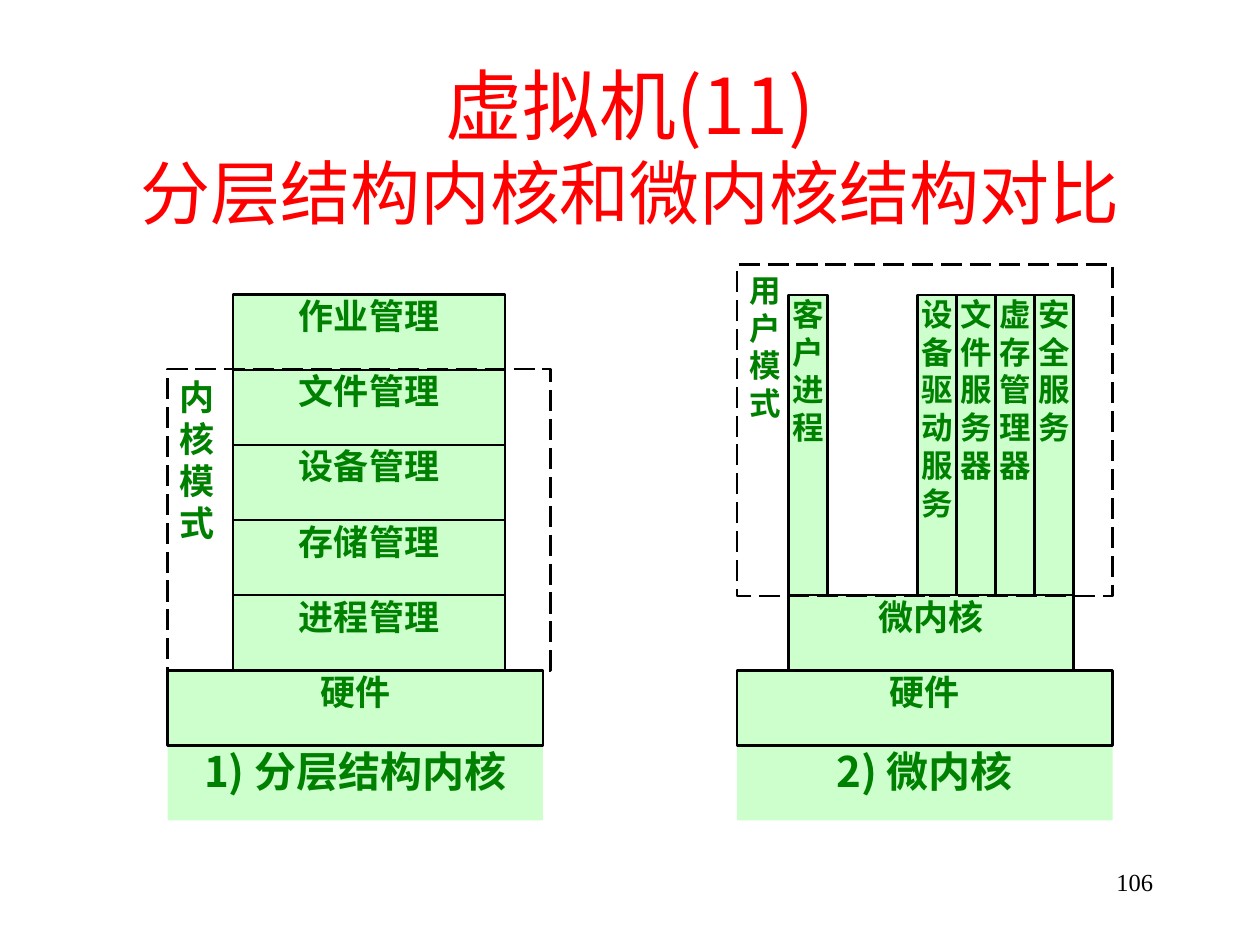
from pptx import Presentation
from pptx.dml.color import RGBColor
from pptx.enum.dml import MSO_LINE
from pptx.enum.shapes import MSO_SHAPE
from pptx.enum.text import MSO_ANCHOR, PP_ALIGN
from pptx.oxml.ns import qn
from pptx.util import Inches, Pt

RECT = MSO_SHAPE.RECTANGLE
DASH = MSO_LINE.LONG_DASH
TOP, MIDDLE = MSO_ANCHOR.TOP, MSO_ANCHOR.MIDDLE
CENTER, RIGHT, JUSTIFY = PP_ALIGN.CENTER, PP_ALIGN.RIGHT, PP_ALIGN.JUSTIFY

COLORS = {"red": "FF0000", "green": "008000", "pale": "CCFFCC", "black": "000000"}
CJK = "Noto Sans CJK SC"
SERIF = "Times New Roman"

ROW = 0.596      # height of one layer
TOWER_TOP = 2.34
HARDWARE_TOP = TOWER_TOP + 5 * ROW
BASE_W = 2.98
SERVER_W = 0.31


def rgb(name):
    return RGBColor.from_string(COLORS[name])


def write(sp, text, sizes=(20,), font=CJK, color="green", bold=True,
          align=CENTER, anchor=TOP, inset=(0, 0)):
    """Write one paragraph per line of text; the last size serves any further lines."""
    tf = sp.text_frame
    tf.word_wrap = True
    tf.vertical_anchor = anchor
    tf.margin_left = tf.margin_right = Inches(inset[0])
    tf.margin_top = tf.margin_bottom = Inches(inset[1])
    for i, line in enumerate(text.split("\n")):
        p = tf.add_paragraph() if i else tf.paragraphs[0]
        p.alignment = align
        r = p.add_run()
        r.text = line
        r.font.size = Pt(sizes[min(i, len(sizes) - 1)])
        r.font.bold = bold
        r.font.name = font
        r.font.color.rgb = rgb(color)
        ea = r.font._element.makeelement(qn("a:ea"), {"typeface": CJK})
        r.font._element.find(qn("a:latin")).addnext(ea)


def add_text(slide, box, text, **fmt):
    sp = slide.shapes.add_textbox(*map(Inches, box))
    write(sp, text, inset=(0.1, 0.05), bold=False, **fmt)


def add_rect(slide, box, fill=None, outlined=True):
    sp = slide.shapes.add_shape(RECT, *map(Inches, box))
    sp.shadow.inherit = False
    if fill:
        sp.fill.solid()
        sp.fill.fore_color.rgb = rgb(fill)
    else:
        sp.fill.background()
    if outlined:
        sp.line.color.rgb = rgb("black")
        sp.line.width = Pt(1.5)
    else:
        sp.line.fill.background()
    return sp


def add_layer(slide, box, text, size=20, outlined=True):
    write(add_rect(slide, box, "pale", outlined), text, sizes=(size,))


def add_mode_frame(slide, box, label, size):
    """Dashed frame with its label set one character per line."""
    sp = add_rect(slide, box)
    sp.line.dash_style = DASH
    write(sp, "\n".join(label), sizes=(size,), align=JUSTIFY, inset=(0.1, 0.05))


def add_base(slide, left, caption):
    add_layer(slide, (left, HARDWARE_TOP + ROW, BASE_W, ROW), caption, 24, False)
    add_layer(slide, (left, HARDWARE_TOP, BASE_W, ROW), "硬件")


def add_layered_kernel(slide, left):
    add_base(slide, left, "1) 分层结构内核")
    layers = ["作业管理", "文件管理", "设备管理", "存储管理", "进程管理"]
    for i, name in enumerate(layers):
        add_layer(slide, (left + 0.52, TOWER_TOP + i * ROW, 2.16, ROW), name)
    add_mode_frame(slide, (left, 2.93, 3.04, 2.39), "内核模式", 20)


def add_microkernel(slide, left):
    add_base(slide, left, "2) 微内核")
    kernel_left, kernel_w = left + 0.41, 2.26
    add_layer(slide, (kernel_left, HARDWARE_TOP - ROW, kernel_w, ROW), "微内核")
    servers = ["设备驱动服务", "文件服务器", "虚存管理器", "安全服务"]
    first_server = kernel_left + kernel_w - len(servers) * SERVER_W
    columns = [(kernel_left, "客户进程")]
    columns += [(first_server + i * SERVER_W, name) for i, name in enumerate(servers)]
    for x, name in columns:
        add_layer(slide, (x, TOWER_TOP, SERVER_W, 4 * ROW), name, 18)
    add_mode_frame(slide, (left, 2.1, BASE_W, 2.63), "用户模式", 18)


def main():
    prs = Presentation()
    prs.slide_width, prs.slide_height = Inches(10), Inches(7.5)
    slide = prs.slides.add_slide(prs.slide_layouts[6])
    add_text(slide, (0.75, 0.53, 8.5, 1.25), "虚拟机(11)\n分层结构内核和微内核结构对比",
             sizes=(44, 40), color="red", anchor=MIDDLE)
    add_layered_kernel(slide, 1.33)
    add_microkernel(slide, 5.85)
    add_text(slide, (7.17, 6.83, 2.08, 0.5), "106", sizes=(14,), font=SERIF,
             color="black", align=RIGHT)
    prs.save("out.pptx")


if __name__ == "__main__":
    main()
